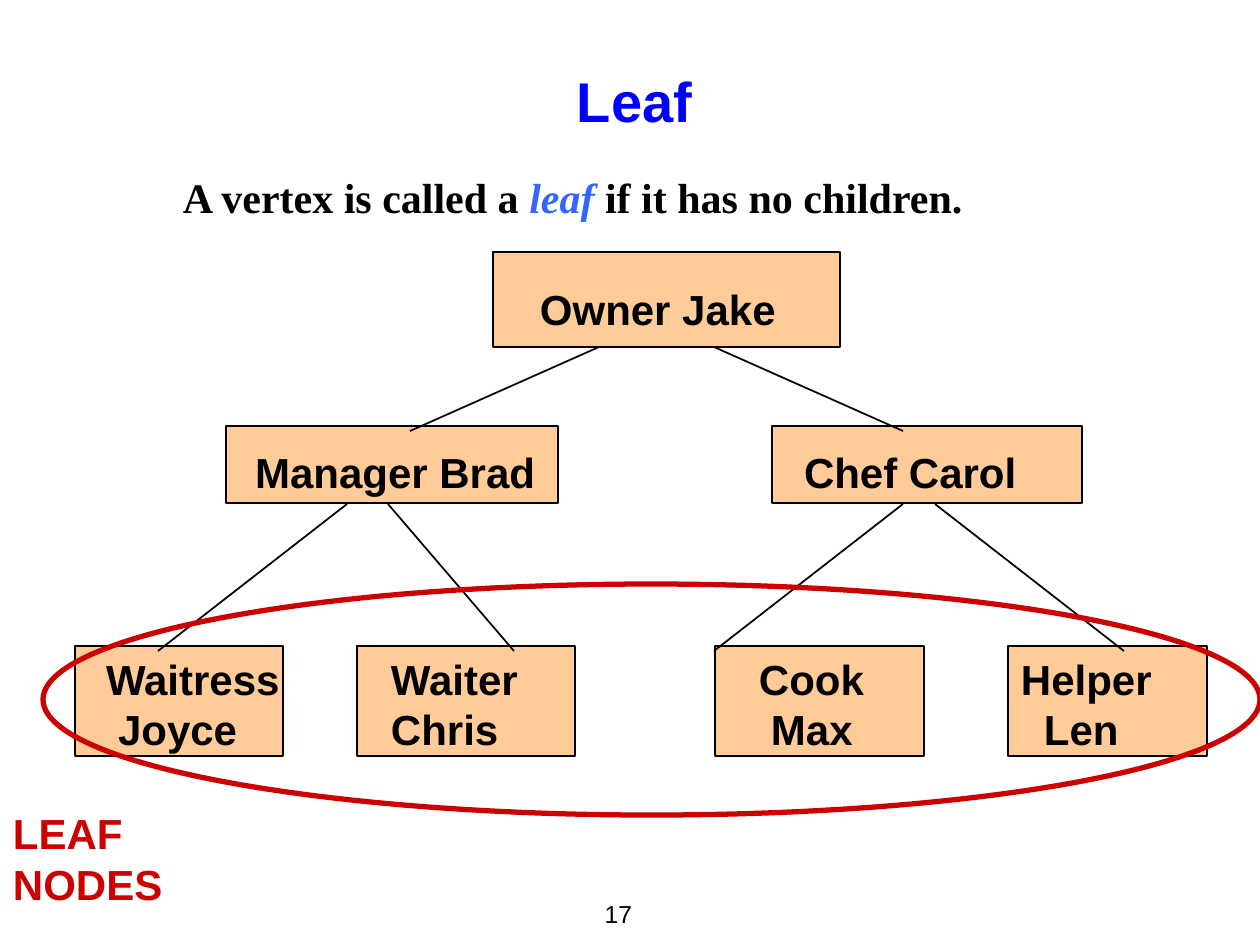
import pptx
import pptx.util
import pptx.dml.color
import pptx.enum.shapes
import pptx.enum.text
import lxml.etree

PX = 914400 / 126
BLACK, RED, PEACH = "000000", "CC0000", "FFCC99"
ALIGN = pptx.enum.text.PP_ALIGN
ANCHOR = pptx.enum.text.MSO_ANCHOR
SHAPES = pptx.enum.shapes.MSO_SHAPE


def px(length):
    return pptx.util.Emu(round(length * PX))


def color(value):
    return pptx.dml.color.RGBColor.from_string(value)


def write(frame, lines, size=24, font="Arial", bold=True, ink=BLACK,
          align=ALIGN.LEFT, anchor=ANCHOR.TOP, insets=(13, 6, 13, 6),
          indents=(0, 0), wrap=True):
    frame.word_wrap = wrap
    frame.vertical_anchor = anchor
    (frame.margin_left, frame.margin_top,
     frame.margin_right, frame.margin_bottom) = map(px, insets)
    for index, line in enumerate(lines):
        paragraph = frame.paragraphs[0] if index == 0 else frame.add_paragraph()
        paragraph.alignment = align
        if indents[index]:
            paragraph._p.get_or_add_pPr().set("marL", str(px(indents[index])))
        for words, accent in line if isinstance(line, list) else [(line, None)]:
            run = paragraph.add_run()
            run.text = words
            run.font.size = pptx.util.Pt(size)
            run.font.name = font
            run.font.bold = bold
            run.font.italic = bool(accent)
            run.font.color.rgb = color(accent or ink)


def add_text(slide, box, lines, **format):
    write(slide.shapes.add_textbox(*map(px, box)).text_frame, lines, **format)


def add_outline(slide, kind, box, ink, width, fill=None):
    shape = slide.shapes.add_shape(kind, *map(px, box))
    shape.shadow.inherit = False
    if fill:
        shape.fill.solid()
        shape.fill.fore_color.rgb = color(fill)
    else:
        shape.fill.background()
    shape.line.color.rgb = color(ink)
    shape.line.width = pptx.util.Pt(width)
    return shape


def add_node(slide, box, lines, text_left, text_top, indent=0):
    node = add_outline(slide, SHAPES.RECTANGLE, box, BLACK, 1, PEACH)
    write(node.text_frame, lines, indents=(0, indent),
          insets=(text_left - box[0], text_top - box[1], 0, 0))


def add_edge(slide, start, end):
    edge = slide.shapes.add_connector(
        pptx.enum.shapes.MSO_CONNECTOR.STRAIGHT, *map(px, start + end))
    edge.line.color.rgb = color(BLACK)
    edge.line.width = pptx.util.Pt(1)
    lxml.etree.SubElement(edge._element.spPr, pptx.oxml.ns.qn("a:effectLst"))


def main():
    deck = pptx.Presentation()
    deck.slide_width, deck.slide_height = px(1260), px(945)
    slide = deck.slides.add_slide(deck.slide_layouts[6])

    add_text(slide, (53, 45, 1163, 95), ["Leaf"], size=32, ink="0000FF",
             align=ALIGN.CENTER, anchor=ANCHOR.BOTTOM)
    definition = [("A vertex is called a ", None), ("leaf", "3366FF"),
                  (" if it has no children.", None)]
    add_text(slide, (170, 165, 985, 70), [definition], font="Times New Roman")

    add_node(slide, (493, 252, 347, 95), ["Owner Jake"], 540, 283)
    managers = [(226, 332, "Manager Brad", 255), (772, 310, "Chef Carol", 804)]
    for left, width, name, text_left in managers:
        add_node(slide, (left, 426, width, 77), [name], text_left, 447)
    leaves = [(75, 208, ["Waitress", "Joyce"], 106, 12),
              (357, 218, ["Waiter", "Chris"], 391, 0),
              (715, 209, ["Cook", "Max"], 759, 12),
              (1008, 199, ["Helper", "Len"], 1021, 23)]
    for left, width, names, text_left, indent in leaves:
        add_node(slide, (left, 646, width, 110), names, text_left, 653, indent)

    for start, end in [(599, 410), (714, 903)]:
        add_edge(slide, (start, 347), (end, 431))
    for start, end in [(347, 158), (388, 514), (903, 714), (935, 1124)]:
        add_edge(slide, (start, 504), (end, 651))

    add_text(slide, (0, 802, 296, 63), ["LEAF NODES"], ink=RED, wrap=False)
    add_outline(slide, SHAPES.OVAL, (43, 584, 1217, 231), RED, 3)
    add_text(slide, (561, 882, 84, 63), ["17"], size=14, bold=False,
             align=ALIGN.RIGHT, anchor=ANCHOR.MIDDLE, wrap=False)
    deck.save("out.pptx")


if __name__ == "__main__":
    main()
